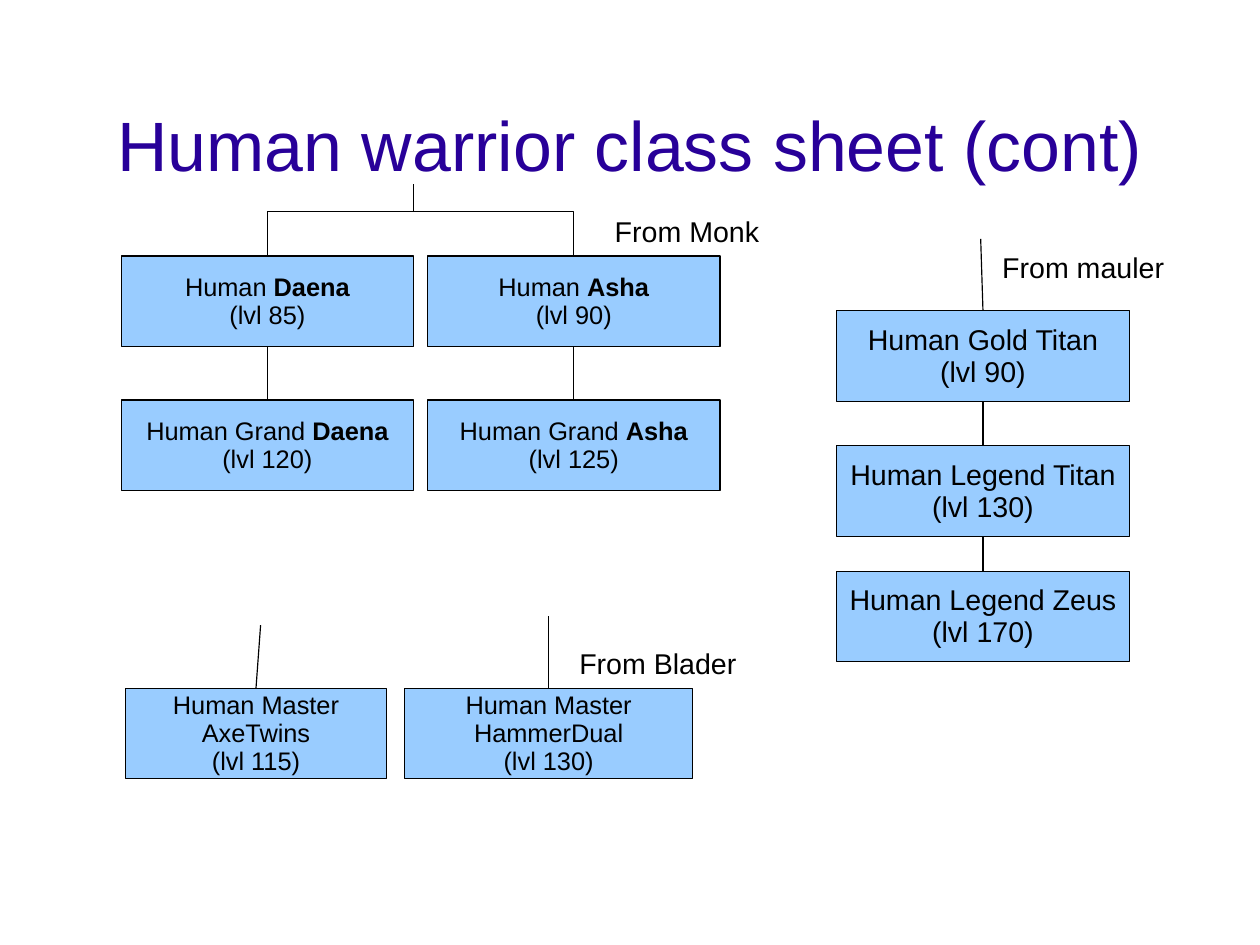
from lxml import etree
from pptx import Presentation
from pptx.dml.color import RGBColor
from pptx.enum import shapes, text
from pptx.oxml import ns
from pptx.util import Inches, Pt

FONT = "Arial"
BLACK = "000000"
BOX_FILL = "99CCFF"
TITLE_COLOUR = "280099"
CM_PER_INCH = 2.54
BOX_HEIGHT = 0.79
BOX_WIDTH = 2.56
TOP, BOTTOM = 0, 2


def colour(value):
    return RGBColor.from_string(value)


def add_paragraph(frame, runs, size, ink=BLACK, align=None, first=False):
    paragraph = frame.paragraphs[0] if first else frame.add_paragraph()
    paragraph.alignment = align
    paragraph.line_spacing = 0.93
    paragraph.space_before = Pt(0)
    for wording, bold in runs:
        run = paragraph.add_run()
        run.text = wording
        run.font.name = FONT
        run.font.size = Pt(size)
        run.font.bold = bold
        run.font.color.rgb = colour(ink)


def set_insets(frame, left, top, right, bottom):
    frame.margin_left, frame.margin_top = Inches(left), Inches(top)
    frame.margin_right, frame.margin_bottom = Inches(right), Inches(bottom)


def set_title(slide, wording):
    title = slide.shapes.title
    title.left, title.top = Inches(0.79), Inches(0.61)
    title.width, title.height = Inches(9.45), Inches(1.38)
    frame = title.text_frame
    frame.auto_size = text.MSO_AUTO_SIZE.NONE
    frame.vertical_anchor = text.MSO_ANCHOR.MIDDLE
    set_insets(frame, 0, 0, 0, 0)
    add_paragraph(frame, [(wording, False)], 44, TITLE_COLOUR, text.PP_ALIGN.CENTER, True)


def add_class_box(slide, left, top, rank, level, name="", width=BOX_WIDTH, size=16):
    box = slide.shapes.add_shape(
        shapes.MSO_SHAPE.ROUNDED_RECTANGLE,
        Inches(left), Inches(top), Inches(width), Inches(BOX_HEIGHT))
    box.adjustments[0] = 0
    box.shadow.inherit = False
    box.fill.solid()
    box.fill.fore_color.rgb = colour(BOX_FILL)
    box.line.color.rgb = colour(BLACK)
    box.line.width = Pt(0.75)
    frame = box.text_frame
    frame.word_wrap = True
    frame.vertical_anchor = text.MSO_ANCHOR.MIDDLE
    set_insets(frame, 0.1, 0.06, 0.1, 0.05)
    runs = [(rank, False)] + ([(name, True)] if name else [])
    add_paragraph(frame, runs, size, align=text.PP_ALIGN.CENTER, first=True)
    add_paragraph(frame, [(f"(lvl {level})", False)], size, align=text.PP_ALIGN.CENTER)
    return box


def add_line(slide, start, end, kind=shapes.MSO_CONNECTOR.STRAIGHT):
    points = [Inches(value) for value in (*start, *end)]
    line = slide.shapes.add_connector(kind, *points)
    line.line.color.rgb = colour(BLACK)
    line.line.width = Pt(0.75)
    etree.SubElement(line._element.spPr, ns.qn("a:effectLst"))
    return line


def add_branch(slide, fork, box):
    branch = add_line(slide, fork, (box.left.inches + box.width.inches / 2, box.top.inches),
                      shapes.MSO_CONNECTOR.ELBOW)
    branch._element.spPr.find(ns.qn("a:prstGeom")).set("prst", "bentConnector2")
    branch.end_connect(box, TOP)


def add_stem(slide, box, end):
    add_line(slide, (0, 0), end).begin_connect(box, TOP)


def link_down(slide, upper, lower):
    link = add_line(slide, (0, 0), (1, 1))
    link.begin_connect(upper, BOTTOM)
    link.end_connect(lower, TOP)


def add_origin_label(slide, left, top, width, wording):
    label = slide.shapes.add_textbox(Inches(left), Inches(top), Inches(width), Inches(0.38))
    frame = label.text_frame
    frame.word_wrap = False
    frame.auto_size = text.MSO_AUTO_SIZE.SHAPE_TO_FIT_TEXT
    set_insets(frame, 0.1, 0.05, 0.1, 0.05)
    add_paragraph(frame, [(wording, False)], 18, first=True)


def add_monk_tree(slide):
    fork = (3.62, 1.85)
    for left, name, level, grand_level in ((1.06, "Daena", 85, 120), (3.74, "Asha", 90, 125)):
        master = add_class_box(slide, left, 2.24, "Human ", level, name)
        grand = add_class_box(slide, left, 3.5, "Human Grand ", grand_level, name)
        add_branch(slide, fork, master)
        link_down(slide, master, grand)
    add_line(slide, fork, (3.62, 1.61))
    add_origin_label(slide, 5.28, 1.85, 1.52, "From Monk")


def add_blader_tree(slide):
    for left, width, rank, level, stem_end in (
            (1.1, 2.28, "Human Master AxeTwins", 115, (2.28, 5.47)),
            (3.54, 2.52, "Human Master HammerDual", 130, (4.8, 5.39))):
        master = add_class_box(slide, left, 6.02, rank, level, width=width)
        add_stem(slide, master, stem_end)
    add_origin_label(slide, 4.97, 5.63, 1.63, "From Blader")


def add_mauler_tree(slide):
    titans = [add_class_box(slide, 7.32, top, rank, level, size=18) for top, rank, level in (
        (2.72, "Human Gold Titan", 90),
        (3.9, "Human Legend Titan", 130),
        (5, "Human Legend Zeus", 170))]
    add_stem(slide, titans[0], (8.58, 2.09))
    for upper, lower in zip(titans, titans[1:]):
        link_down(slide, upper, lower)
    add_origin_label(slide, 8.67, 2.16, 1.67, "From mauler")


def main():
    deck = Presentation()
    deck.slide_width = Inches(28 / CM_PER_INCH)
    deck.slide_height = Inches(21 / CM_PER_INCH)
    slide = deck.slides.add_slide(deck.slide_layouts[5])
    set_title(slide, "Human warrior class sheet (cont)")
    add_monk_tree(slide)
    add_blader_tree(slide)
    add_mauler_tree(slide)
    deck.save("out.pptx")


if __name__ == "__main__":
    main()
